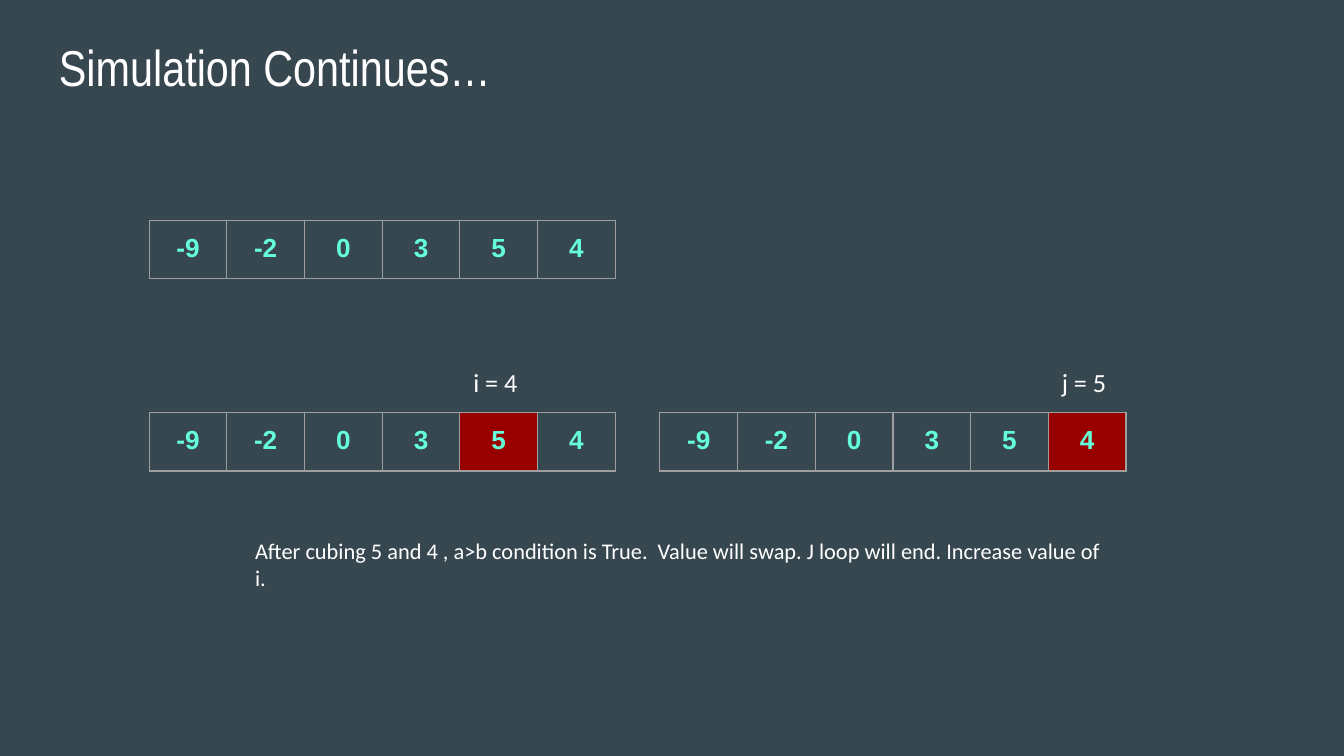
from lxml import etree
from pptx import Presentation, util as u
from pptx.dml.color import RGBColor
from pptx.enum import text
from pptx.oxml import ns

BG = RGBColor(0x37, 0x47, 0x4F)
WHITE = RGBColor(0xFF, 0xFF, 0xFF)
MINT = RGBColor(0x64, 0xFF, 0xDA)
RED = RGBColor(0x98, 0x00, 0x00)
GREY = RGBColor(0x9E, 0x9E, 0x9E)

WIDTH, LABEL_H, INSET = 3.47, 0.44, 0.1
VALUES = ["-9", "-2", "0", "3", "5", "4"]
MARGINS = {f"margin_{side}": u.Inches(INSET) for side in ("left", "right", "top", "bottom")}
TITLE = {"size": u.Pt(27), "name": "Arial Narrow"}
LABEL = {"size": u.Pt(14), "name": "Calibri"}
NOTE = {"size": u.Pt(12), "name": "Calibri"}
DIGIT = {"size": u.Pt(14), "name": "Arial", "bold": True}


def apply(obj, values):
    """Set every attribute in a dict of format values."""
    for name, value in values.items():
        setattr(obj, name, value)


def write(p, words, font, color):
    """Add one formatted run to a paragraph."""
    r = p.add_run()
    r.text = words
    apply(r.font, font)
    r.font.color.rgb = color


def add_text(s, box, words, font):
    """Place a wrapped white text box."""
    tf = s.shapes.add_textbox(*map(u.Inches, box)).text_frame
    apply(tf, {"word_wrap": True, "vertical_anchor": text.MSO_ANCHOR.TOP, **MARGINS})
    write(tf.paragraphs[0], words, font, WHITE)


def add_borders(cell):
    """Draw a thin line on all four sides of a cell."""
    tc_pr = cell._tc.get_or_add_tcPr()
    for i, side in enumerate("LRTB"):
        ln = etree.Element(ns.qn(f"a:ln{side}"), w=str(u.Pt(0.75)))
        fill = etree.SubElement(ln, ns.qn("a:solidFill"))
        etree.SubElement(fill, ns.qn("a:srgbClr"), val=str(GREY))
        tc_pr.insert(i, ln)


def add_array(s, box, marked=None, label=None):
    """Place the array as a one-row table, with a marked cell and its index label."""
    x, y, w, h = box
    col = w / len(VALUES)
    table = s.shapes.add_table(1, len(VALUES), *map(u.Inches, box)).table
    apply(table, {"first_row": False, "horz_banding": False})
    table.rows[0].height = u.Inches(h)
    for i, value in enumerate(VALUES):
        table.columns[i].width = u.Inches(col)
        cell = table.cell(0, i)
        apply(cell, MARGINS)
        cell.fill.solid()
        cell.fill.fore_color.rgb = RED if i == marked else BG
        add_borders(cell)
        p = cell.text_frame.paragraphs[0]
        p.alignment = text.PP_ALIGN.CENTER
        write(p, value, DIGIT, MINT)
    if label:
        add_text(s, (x + marked * col, y - LABEL_H, col, LABEL_H), label, LABEL)


def main():
    """Build the simulation slide."""
    prs = Presentation()
    width = u.Inches(10)
    apply(prs, {"slide_width": width, "slide_height": width * 9 // 16})
    s = prs.slides.add_slide(prs.slide_layouts[6])
    s.background.fill.solid()
    s.background.fill.fore_color.rgb = BG
    add_text(s, (0.34, 0.17, 9.32, 0.63), "Simulation Continues…", TITLE)
    add_array(s, (1.11, 3.07, WIDTH, 0.42), 4, "i = 4")
    add_array(s, (4.91, 3.07, WIDTH, 0.42), 5, "j = 5")
    add_text(s, (1.8, 3.9, 6.53, 0.61),
             "After cubing 5 and 4 , a>b condition is True.  Value will swap. "
             "J loop will end. Increase value of i.", NOTE)
    add_array(s, (1.11, 1.64, WIDTH, 0.42))
    prs.save("out.pptx")


if __name__ == "__main__":
    main()
